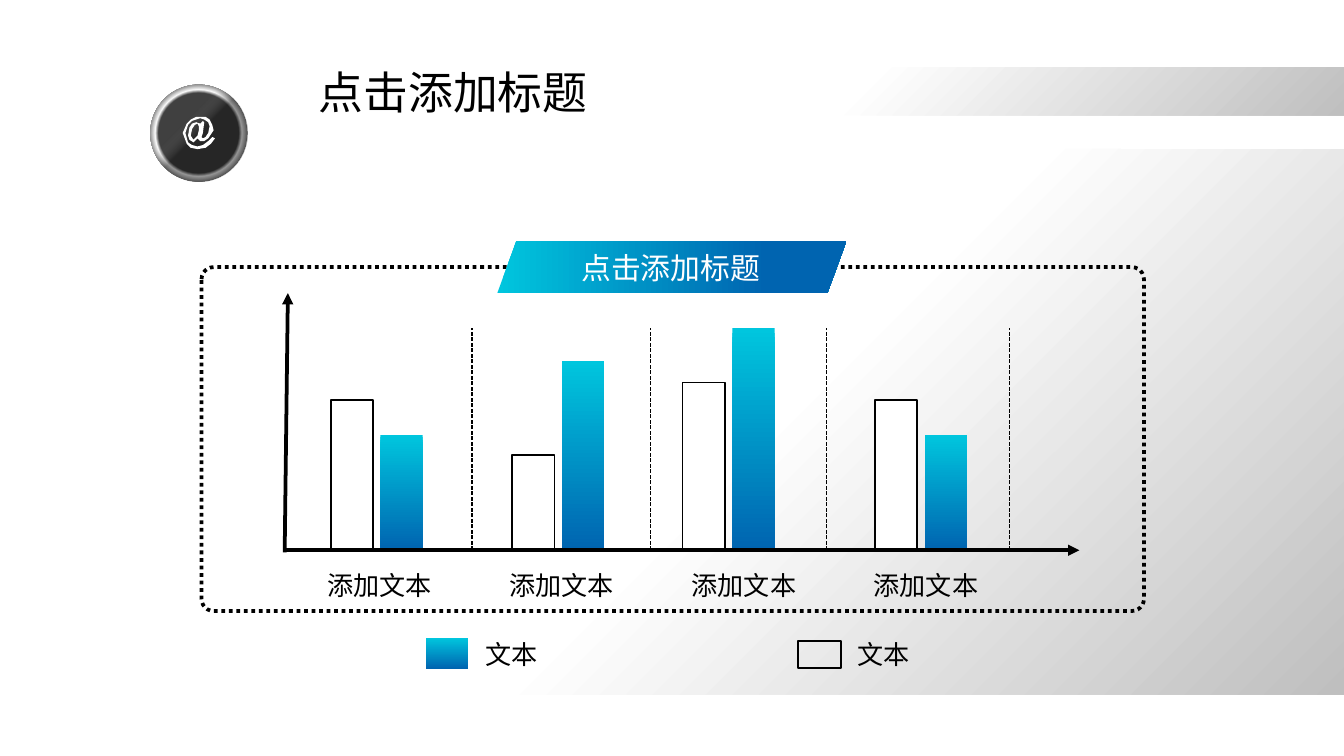
import math
from pptx import Presentation, util as u
from pptx.dml.color import RGBColor
from pptx.enum import dml, shapes as sh, text as t
from pptx.oxml import parse_xml
from pptx.oxml.ns import nsdecls, qn

CJK = "Noto Sans CJK SC"
BLACK, WHITE = "000000", "FFFFFF"
AQUA, BLUE = "00C6DE", "0064B0"
GREY = [(0, WHITE), (55, WHITE), (100, "BFBFBF")]
HUB = (3.76, 2.51)
BASE = 10.4
BAR = 0.8
AT_RIM = [
    (158, 93), (159, 97), (157, 100), (155, 103), (152, 105), (149, 105),
    (147, 103), (144, 106), (141, 104), (140, 101), (141, 95), (143, 92),
    (146, 91), (149, 92), (151, 90), (152, 91), (151, 99), (150, 102),
    (151, 103), (153, 102), (155, 99), (156, 94), (155, 91), (152, 89),
    (149, 88), (146, 89), (143, 90), (140, 93), (138, 99), (140, 106),
    (143, 108), (147, 109), (151, 108), (155, 105), (158, 102), (160, 103),
    (157, 107), (153, 110), (147, 111), (142, 110), (139, 107), (136, 99),
    (139, 92), (142, 89), (146, 87), (153, 87), (156, 89)]
AT_HOLE = [
    (147, 92), (145, 93), (143, 96), (142, 101), (144, 104), (147, 101),
    (148, 97), (148, 94)]


def color(code):
    """Turn a hex string into a colour."""
    return RGBColor.from_string(code)


def blend(shape, stops, angle=0, focus=None):
    """Fill a shape with a linear gradient, or a round one around focus."""
    marks = "".join(
        f'<a:gs pos="{pos * 1000}"><a:srgbClr val="{code}">'
        + "".join(f'<a:alpha val="{a * 1000}"/>' for a in alpha)
        + "</a:srgbClr></a:gs>" for pos, code, *alpha in stops)
    way = f'<a:lin ang="{angle * 60000}" scaled="0"/>'
    if focus:
        l, top, r, b = (n * 1000 for n in focus)
        way = (f'<a:path path="circle"><a:fillToRect l="{l}" t="{top}" '
               f'r="{r}" b="{b}"/></a:path>')
    shape.fill.background()
    props = shape._element.spPr
    props.replace(props.find(qn("a:noFill")), parse_xml(
        f'<a:gradFill {nsdecls("a")} rotWithShape="1">'
        f"<a:gsLst>{marks}</a:gsLst>{way}</a:gradFill>"))


def stroke(item, width, dash=None):
    """Give a shape or connector a black line."""
    item.line.color.rgb = color(BLACK)
    item.line.width = u.Pt(width)
    if dash:
        item.line.dash_style = dash


def plain(shape, fill=None):
    """Strip shadow and line, and set a flat fill or none."""
    shape.shadow.inherit = False
    shape.line.fill.background()
    if fill:
        shape.fill.solid()
        shape.fill.fore_color.rgb = color(fill)
    else:
        shape.fill.background()
    return shape


def block(slide, kind, box, fill=None):
    """Add a preset shape at a box in centimetres."""
    return plain(slide.shapes.add_shape(kind, *map(u.Cm, box)), fill)


def outline(slide, *rings, fill=None):
    """Add a closed outline made of one or more rings of points."""
    rings = [[(u.Cm(x), u.Cm(y)) for x, y in ring] for ring in rings]
    pen = slide.shapes.build_freeform(*rings[0][0])
    pen.add_line_segments(rings[0][1:], close=True)
    for ring in rings[1:]:
        pen.move_to(*ring[0])
        pen.add_line_segments(ring[1:], close=True)
    return plain(pen.convert_to_shape(), fill)


def arc(radius, start, end, steps=16):
    """List points on a circle around the badge, angles in degrees."""
    turns = [math.radians(start + (end - start) * i / steps)
             for i in range(steps + 1)]
    return [(HUB[0] + radius * math.cos(a), HUB[1] + radius * math.sin(a))
            for a in turns]


def line(slide, start, end, width, dash=None, arrow=None):
    """Add a straight line; arrow is headEnd or tailEnd."""
    rule = slide.shapes.add_connector(
        sh.MSO_CONNECTOR.STRAIGHT, *map(u.Cm, (*start, *end)))
    stroke(rule, width, dash)
    rule._element.spPr.append(parse_xml(f'<a:effectLst {nsdecls("a")}/>'))
    if arrow:
        rule.line._get_or_add_ln().append(
            parse_xml(f'<a:{arrow} {nsdecls("a")} type="triangle"/>'))


def write(slide, words, box, size=14, font=CJK, ink=BLACK,
          align=t.PP_ALIGN.LEFT, wrap=False, holder=None):
    """Write text in a new text box or in a given placeholder."""
    spot = holder or slide.shapes.add_textbox(0, 0, 0, 0)
    spot.left, spot.top, spot.width, spot.height = map(u.Cm, box)
    frame = spot.text_frame
    frame.word_wrap = wrap
    frame.auto_size = t.MSO_AUTO_SIZE.NONE
    frame.vertical_anchor = t.MSO_ANCHOR.TOP
    para = frame.paragraphs[0]
    para.alignment = align
    run = para.add_run()
    run.text = words
    run.font.size, run.font.name = u.Pt(size), font
    run.font.color.rgb = color(ink)
    run.font._element.append(
        parse_xml(f'<a:ea {nsdecls("a")} typeface="{CJK}"/>'))


def hollow(slide, box, fill=None):
    """Add a bar or key with a black outline."""
    stroke(block(slide, sh.MSO_SHAPE.RECTANGLE, box, fill), 1)


def solid(slide, box):
    """Add a bar or key with the blue gradient."""
    blend(block(slide, sh.MSO_SHAPE.RECTANGLE, box),
          [(0, AQUA), (100, BLUE)], angle=90)


def backdrop(slide):
    """Draw the grey band, the grey panel and the round badge."""
    band = [(4.65, 1.27), (25.4, 1.27), (25.4, 2.18)] + arc(1.47, -13, -50)
    panel = ([(0, 2.82)] + arc(2.14, 172, 8)
             + [(25.4, 2.82), (25.4, 13.13), (0, 13.13)])
    blend(outline(slide, band), GREY, angle=45)
    badge = (2.84, 1.6, 1.83, 1.83)
    for stops, focus in (
            ([(58, "404040"), (63, WHITE), (72, "808080")], (50,) * 4),
            ([(50, BLACK, 40), (63, "808080", 0)], (100, 100, 0, 0))):
        blend(block(slide, sh.MSO_SHAPE.OVAL, badge), stops, focus=focus)
    rings = [[(x * 0.0254, y * 0.0254) for x, y in ring]
             for ring in (AT_RIM, AT_HOLE)]
    outline(slide, *rings, fill=WHITE)
    blend(outline(slide, panel), GREY, angle=45)


def banner(slide):
    """Draw the dotted frame and the slanted heading on it."""
    frame = block(slide, sh.MSO_SHAPE.ROUNDED_RECTANGLE,
                  (3.81, 5.05, 17.81, 6.5))
    frame.adjustments[0] = 0.035
    stroke(frame, 2, dml.MSO_LINE.ROUND_DOT)
    ribbon = block(slide, sh.MSO_SHAPE.PARALLELOGRAM, (9.4, 4.55, 6.6, 0.99))
    ribbon.adjustments[0] = 0.365
    blend(ribbon, [(0, AQUA), (77, BLUE)])
    write(slide, "点击添加标题", (10.74, 4.6, 3.94, 0.94), size=16, ink=WHITE)


def bars(slide):
    """Draw the axes, dividers, bar pairs and their labels."""
    for x in (8.92, 12.29, 15.62, 19.08):
        line(slide, (x, BASE), (x, 6.2), 0.75, dml.MSO_LINE.SQUARE_DOT)
    line(slide, (5.44, 5.54), (5.38, 10.44), 2, arrow="headEnd")
    pairs = [(6.25, 2.84, 2.18), (9.68, 1.8, 3.58),
             (12.9, 3.17, 4.2), (16.54, 2.84, 2.18)]
    for i, (x, first, second) in enumerate(pairs):
        hollow(slide, (x, BASE - first, BAR, first), WHITE)
        solid(slide, (x + 0.94, BASE - second, BAR, second))
        write(slide, "添加文本", (5.87 + 3.44 * i, 10.64, 2.62, 0.84),
              font="Calibri", align=t.PP_ALIGN.CENTER, wrap=True)
    line(slide, (5.38, BASE), (20.4, BASE), 2, arrow="tailEnd")


def legend(slide):
    """Draw the two keys and their names."""
    solid(slide, (8.05, 12.06, BAR, 0.58))
    hollow(slide, (15.09, 12.12, BAR, 0.51))
    for x in (8.92, 15.95):
        write(slide, "文本", (x, 11.94, 1.5, 0.86))


def main():
    """Build the slide and save it."""
    deck = Presentation()
    deck.slide_width, deck.slide_height = u.Cm(25.4), u.Cm(14.29)
    slide = deck.slides.add_slide(deck.slide_layouts[5])
    backdrop(slide)
    banner(slide)
    title = slide.shapes.title
    slide.shapes._spTree.append(title._element)
    write(slide, "点击添加标题", (5.77, 1.09, 5.64, 1.3), size=24, holder=title)
    bars(slide)
    legend(slide)
    deck.save("out.pptx")


main()
